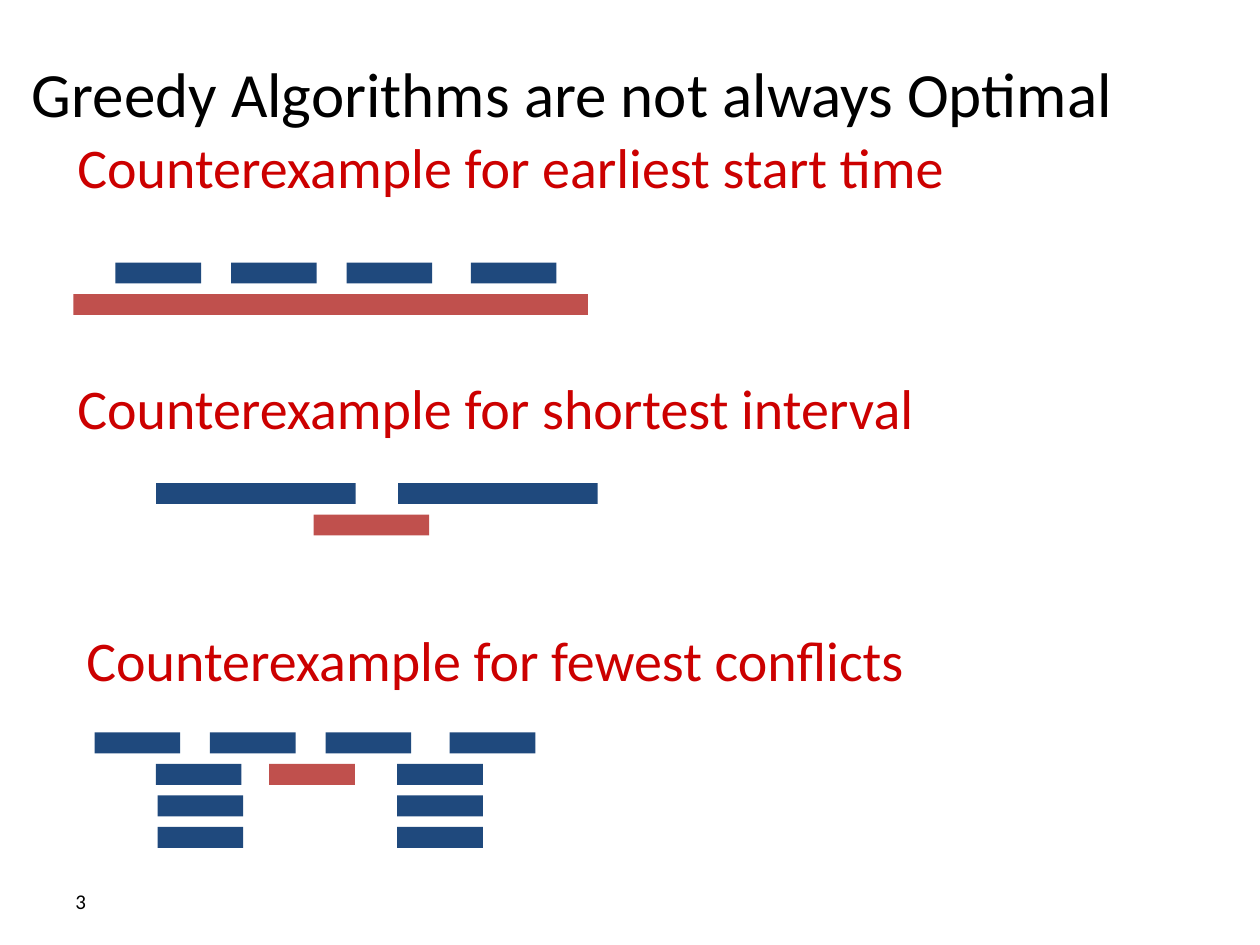
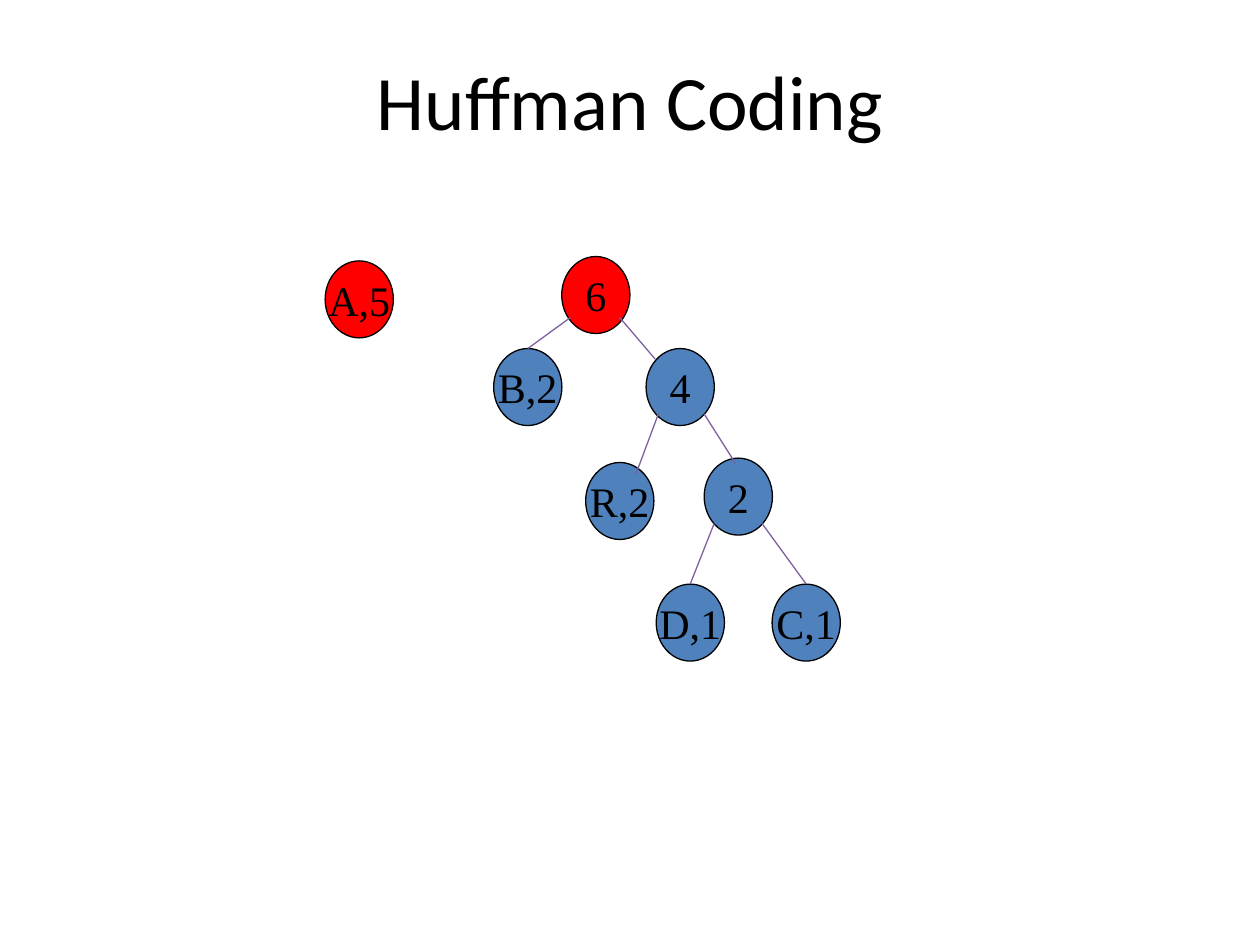
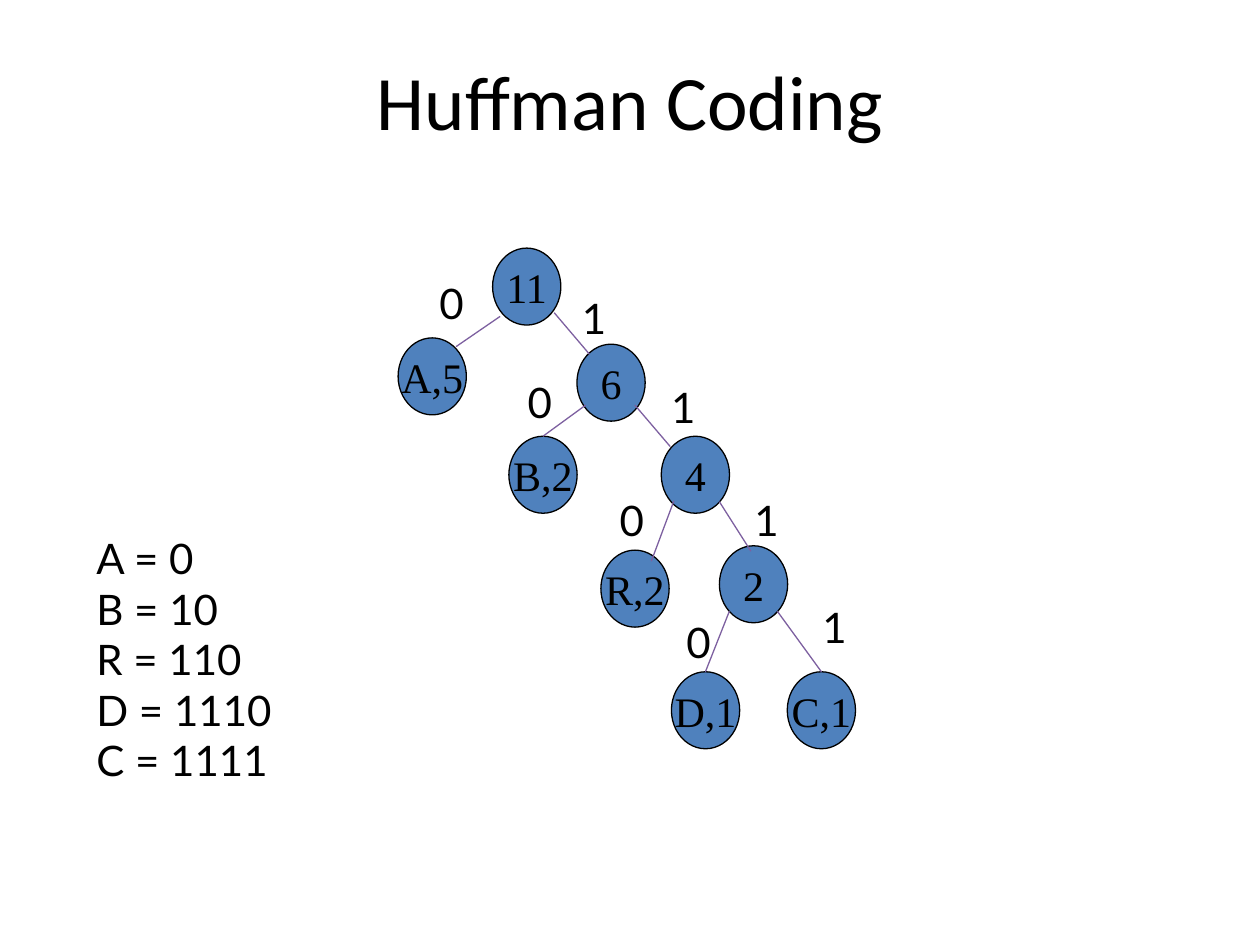
from typing import NamedTuple

from lxml.etree import SubElement
from pptx import Presentation
from pptx.dml.color import RGBColor
from pptx.enum.shapes import MSO_CONNECTOR, MSO_SHAPE
from pptx.enum.text import MSO_ANCHOR, MSO_AUTO_SIZE, PP_ALIGN
from pptx.oxml.ns import qn
from pptx.util import Pt

# Shared look
BLACK, RED, HEADING_RED = "000000", "FF0000", "CC0000"
NAVY, BRICK, NODE_BLUE, EDGE_PURPLE = "1F497D", "C0504D", "4F81BD", "7D60A0"
BODY_FONT, NODE_FONT, CODE_FONT = "Calibri", "Times New Roman", "Lato"
THIN = 0.75

# Interval bars
BAR_HEIGHT, ROW_PITCH, SHORT_JOB = 12, 18, 49
FOUR_STARTS = (0, 66, 132, 203)

# Tree
NODE_WIDTH, NODE_HEIGHT = 39, 44


class Frame(NamedTuple):
    left: float
    top: float
    width: float
    height: float


class Bar(NamedTuple):
    row: int
    left: float
    width: float = SHORT_JOB
    color: str = NAVY


class Counterexample(NamedTuple):
    heading: str
    frame: Frame
    bars_top: float
    bars: list[Bar]


class Node(NamedTuple):
    """A tree node, placed relative to node 6."""
    label: str
    left: float
    top: float
    color: str = NODE_BLUE


class Edge(NamedTuple):
    """A tree edge and the place of its bit, relative to node 6."""
    start: tuple[float, float]
    end: tuple[float, float]
    bit: str
    bit_at: tuple[float, float]


COUNTEREXAMPLES = [
    Counterexample(
        "Counterexample for earliest start time", Frame(34.5, 72, 515, 46), 150,
        [Bar(0, 66 + start) for start in FOUR_STARTS] + [Bar(1, 42, 294, BRICK)]),
    Counterexample(
        "Counterexample for shortest interval", Frame(34.5, 210, 497.5, 46), 276,
        [Bar(0, 89.3, 114), Bar(0, 227.5, 114), Bar(1, 179.3, 66, BRICK)]),
    Counterexample(
        "Counterexample for fewest conflicts", Frame(40, 354, 486, 46), 418.5,
        [Bar(0, 54 + start) for start in FOUR_STARTS]
        + [Bar(1, 89), Bar(2, 90), Bar(3, 90)]
        + [Bar(row, 227) for row in (1, 2, 3)]
        + [Bar(1, 153.8, color=BRICK)]),
]

SUBTREE_NODES = [
    Node("B,2", -38.9, 52.6), Node("4", 48.2, 52.6),
    Node("R,2", 13.7, 117.7), Node("2", 81.4, 115.2),
    Node("D,1", 54, 187.2), Node("C,1", 120.2, 187.2),
]
SUBTREE_EDGES = [
    Edge((5, 34.8), (-19.4, 52.6), "0", (-35.3, 15.1)),
    Edge((33.1, 34.8), (53.3, 58.5), "1", (46.8, 18)),
    Edge((55.4, 89.5), (42.5, 124), "0", (17.3, 82.1)),
    Edge((81.4, 90), (99.4, 118.3), "1", (94.3, 82.1)),
    Edge((87.1, 152.6), (73.4, 187.2), "0", (55.4, 151.9)),
    Edge((114.5, 152.6), (139.7, 187.2), "1", (133.2, 143.3)),
]
TOP_NODES = [Node("11", -48.2, -54.9), Node("A,5", -102.2, -3.6)]
TOP_EDGES = [
    Edge((-43.9, -15.9), (-69.1, 1.4), "0", (-85.7, -41.8)),
    Edge((-13, -18), (7.2, 5.8), "1", (-4.3, -33.1)),
]
CODES = ["A = 0", "B = 10", "R = 110", "D = 1110", "C = 1111"]


def rgb(color: str) -> RGBColor:
    return RGBColor.from_string(color)


def points(*lengths: float) -> list[Pt]:
    return [Pt(length) for length in lengths]


def write(text_frame, lines: list[str], size: float, font: str,
          color: str = BLACK, align=PP_ALIGN.CENTER) -> None:
    for index, line in enumerate(lines):
        para = text_frame.add_paragraph() if index else text_frame.paragraphs[0]
        para.text = line
        para.alignment = align
        para.font.size = Pt(size)
        para.font.name = font
        para.font.color.rgb = rgb(color)


def add_page(deck, title: str, frame: Frame, size: float):
    page = deck.slides.add_slide(deck.slide_layouts[5])
    box = page.shapes.title
    box.left, box.top, box.width, box.height = points(*frame)
    box.text_frame.auto_size = MSO_AUTO_SIZE.NONE
    box.text_frame.vertical_anchor = MSO_ANCHOR.MIDDLE
    write(box.text_frame, [title], size, BODY_FONT)
    return page


def add_text(page, lines: list[str], frame: Frame, size: float, font: str,
             color: str = BLACK, align=PP_ALIGN.CENTER):
    box = page.shapes.add_textbox(*points(*frame))
    box.text_frame.word_wrap = False
    box.text_frame.auto_size = MSO_AUTO_SIZE.SHAPE_TO_FIT_TEXT
    write(box.text_frame, lines, size, font, color, align)
    return box


def add_filled(page, kind, frame: Frame, color: str):
    shape = page.shapes.add_shape(kind, *points(*frame))
    shape.shadow.inherit = False
    shape.fill.solid()
    shape.fill.fore_color.rgb = rgb(color)
    shape.line.fill.background()
    return shape


def add_counterexample(page, example: Counterexample) -> None:
    for bar in example.bars:
        top = example.bars_top + bar.row * ROW_PITCH
        frame = Frame(bar.left, top, bar.width, BAR_HEIGHT)
        add_filled(page, MSO_SHAPE.RECTANGLE, frame, bar.color)
    add_text(page, [example.heading], example.frame, 32, BODY_FONT, HEADING_RED)


def add_node(page, node: Node, left: float, top: float) -> None:
    frame = Frame(left + node.left, top + node.top, NODE_WIDTH, NODE_HEIGHT)
    oval = add_filled(page, MSO_SHAPE.OVAL, frame, node.color)
    oval.line.color.rgb = rgb(BLACK)
    oval.line.width = Pt(THIN)
    oval.text_frame.word_wrap = False
    oval.text_frame.vertical_anchor = MSO_ANCHOR.MIDDLE
    write(oval.text_frame, [node.label], 24, NODE_FONT)


def add_edge(page, edge: Edge, left: float, top: float) -> None:
    (x1, y1), (x2, y2) = edge.start, edge.end
    line = page.shapes.add_connector(
        MSO_CONNECTOR.STRAIGHT, *points(left + x1, top + y1, left + x2, top + y2))
    line.line.color.rgb = rgb(EDGE_PURPLE)
    line.line.width = Pt(THIN)
    SubElement(line._element.spPr, qn("a:effectLst"))


def add_tree(page, nodes: list[Node], edges: list[Edge],
             left: float, top: float, show_bits: bool) -> None:
    """Draw a tree whose node 6 has its corner at left, top."""
    for node in nodes:
        add_node(page, node, left, top)
    for edge in edges:
        add_edge(page, edge, left, top)
    if show_bits:
        for edge in edges:
            x, y = edge.bit_at
            add_text(page, [edge.bit], Frame(left + x, top + y, 24.5, 29), 24, CODE_FONT)


def main() -> None:
    deck = Presentation()
    deck.slide_width, deck.slide_height = Pt(720), Pt(540)

    # Greedy counterexamples
    page = add_page(deck, "Greedy Algorithms are not always Optimal",
                    Frame(3, 8, 648, 90), 36)
    for example in COUNTEREXAMPLES:
        add_counterexample(page, example)
    number = add_text(page, ["3"], Frame(36, 500.5, 168, 29), 12, BODY_FONT,
                      align=PP_ALIGN.LEFT)
    number.text_frame.word_wrap = True
    number.text_frame.auto_size = MSO_AUTO_SIZE.NONE
    number.text_frame.vertical_anchor = MSO_ANCHOR.MIDDLE

    # Huffman tree before the last merge
    huffman = ("Huffman Coding", Frame(54, 12, 612, 90), 44)
    page = add_page(deck, *huffman)
    roots = [Node("A,5", -135.2, 2.5, RED), Node("6", 0, 0, RED)]
    add_tree(page, roots + SUBTREE_NODES, SUBTREE_EDGES, 321, 146.6, False)

    # Finished Huffman tree with its codes
    page = add_page(deck, *huffman)
    add_tree(page, TOP_NODES + [Node("6", 0, 0)] + SUBTREE_NODES,
             TOP_EDGES + SUBTREE_EDGES, 329.7, 196.7, True)
    add_text(page, CODES, Frame(48, 301, 117, 152.5), 24, CODE_FONT,
             align=PP_ALIGN.LEFT)

    deck.save("out.pptx")


if __name__ == "__main__":
    main()
